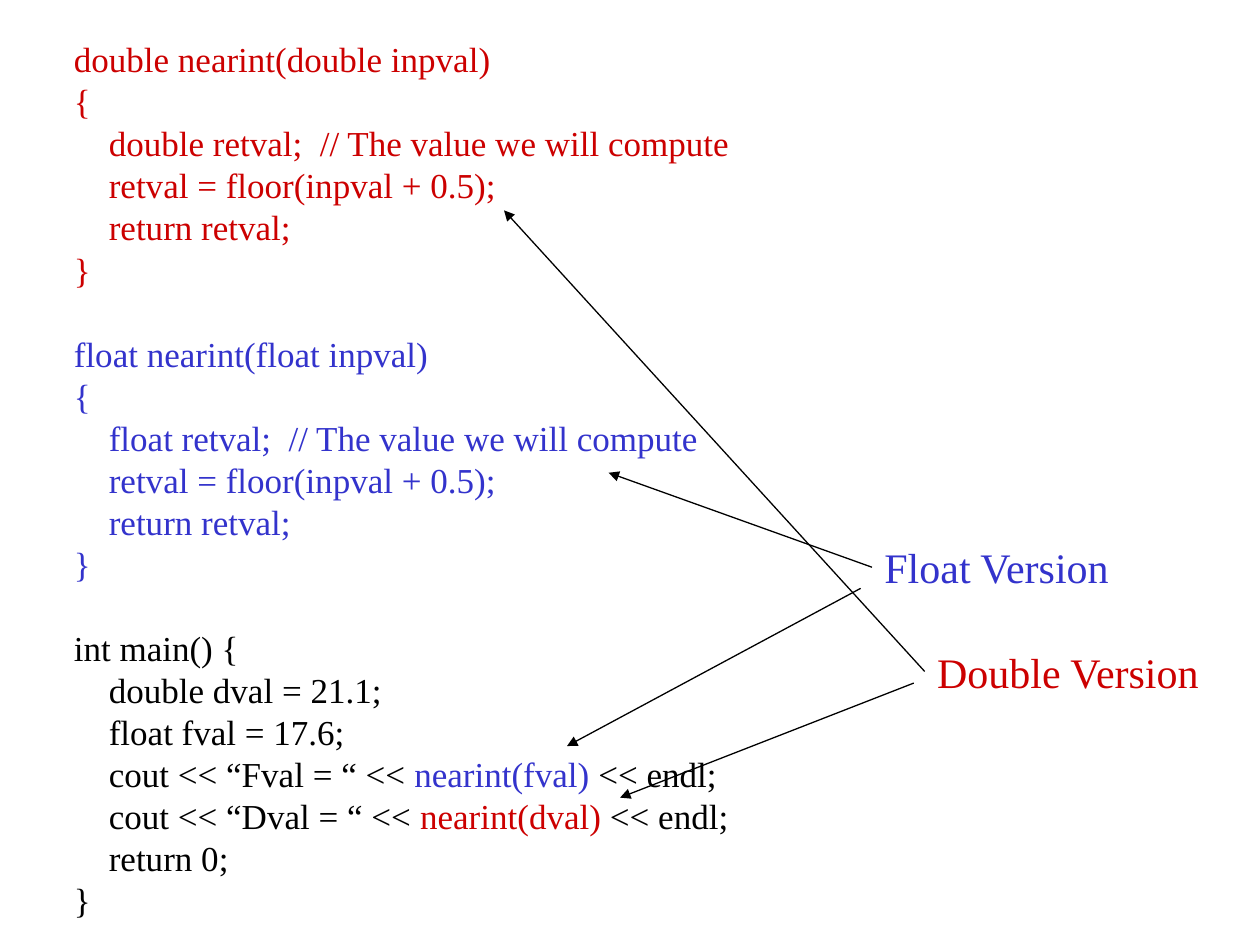
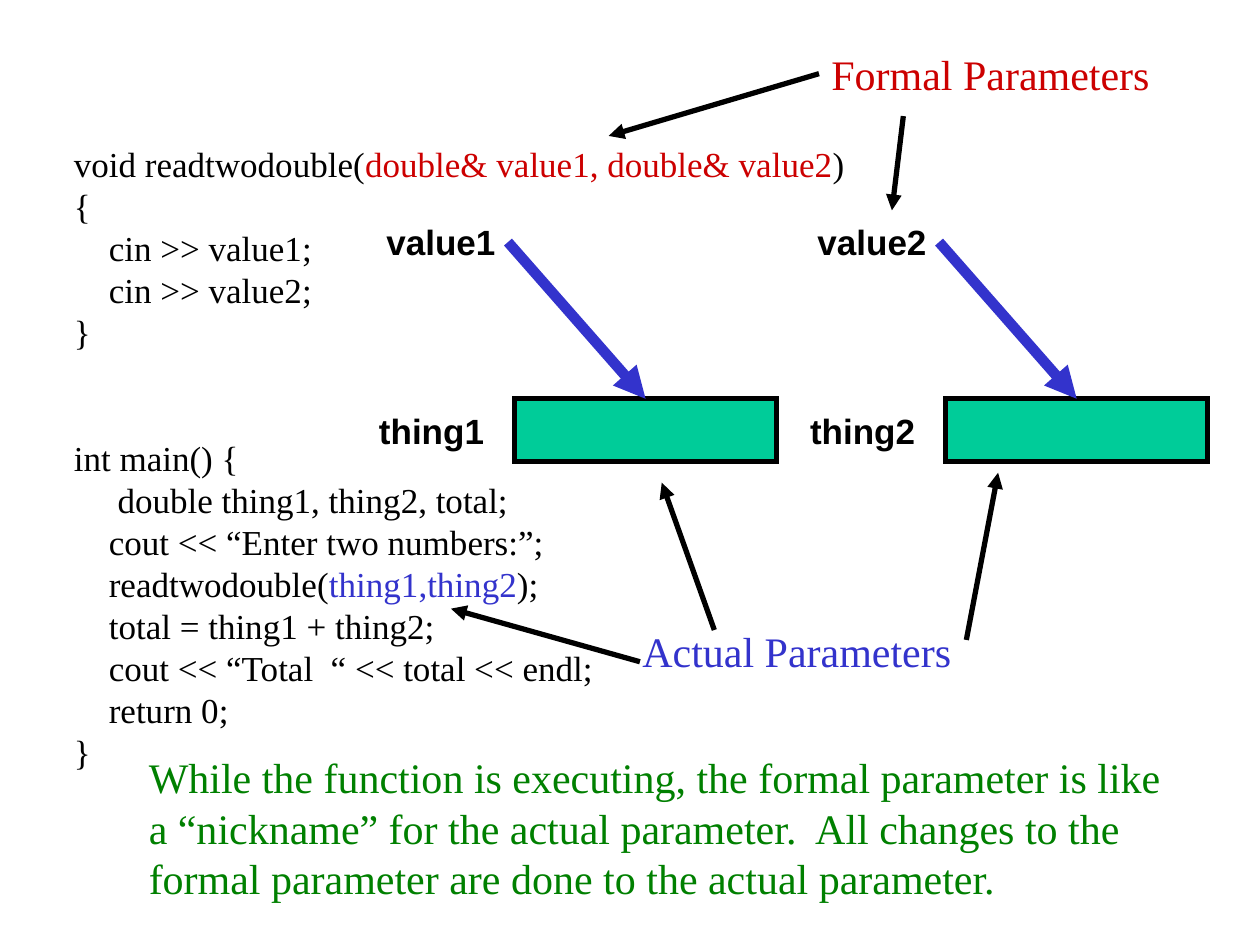
import dataclasses

import lxml.etree
import pptx
import pptx.dml.color
import pptx.enum.shapes
import pptx.enum.text
import pptx.oxml.ns
import pptx.util

Cm = pptx.util.Cm
Pt = pptx.util.Pt
RGB = pptx.dml.color.RGBColor
LEFT = pptx.enum.text.PP_ALIGN.LEFT
RIGHT = pptx.enum.text.PP_ALIGN.RIGHT
qn = pptx.oxml.ns.qn

# Connection sites of a rectangle
TOP_SITE, LEFT_SITE, RIGHT_SITE = 0, 1, 3


@dataclasses.dataclass(frozen=True)
class Theme:
    black: RGB = RGB(0x00, 0x00, 0x00)
    red: RGB = RGB(0xCC, 0x00, 0x00)
    blue: RGB = RGB(0x33, 0x33, 0xCC)
    green: RGB = RGB(0x00, 0x80, 0x00)
    teal: RGB = RGB(0x00, 0xCC, 0x99)
    serif: str = "Times New Roman"
    sans: str = "Arial"
    code_size: int = 20
    label_size: int = 24
    line_height: float = 1.2
    thin: float = 0.75
    thick: float = 3
    heavy: float = 6


THEME = Theme()


# Text
def add_box(page, left, top, width, height):
    box = page.shapes.add_textbox(Cm(left), Cm(top), Cm(width), Cm(height))
    box.text_frame.word_wrap = True
    return box


def style_para(para, size, colour, face=THEME.serif, bold=False, align=LEFT):
    para.alignment = align
    para.line_spacing = Pt(size * THEME.line_height)
    for span in para.runs:
        span.font.name = face
        span.font.size = Pt(size)
        span.font.bold = bold
        span.font.color.rgb = colour


def add_note(page, text, colour, left, top, width, height=1.27):
    box = add_box(page, left, top, width, height)
    box.text_frame.text = text
    style_para(box.text_frame.paragraphs[0], THEME.label_size, colour)
    return box


def add_variable_name(page, text, right, top, width=3):
    box = add_box(page, right - width, top, width, 1.12)
    box.text_frame.text = text
    style_para(box.text_frame.paragraphs[0], THEME.code_size, THEME.black,
               THEME.sans, True, RIGHT)
    return box


def add_code(page, functions, top, width, height, gap_lines=1):
    """Write (colour, lines) functions; a line is text or (before, marked, after, colour)."""
    frame = add_box(page, 1.24, top, width, height).text_frame
    gap = Pt(gap_lines * THEME.code_size * THEME.line_height)
    for number, (colour, lines) in enumerate(functions):
        for index, line in enumerate(lines):
            first = number == 0 and index == 0
            para = frame.paragraphs[0] if first else frame.add_paragraph()
            pieces = [line] if isinstance(line, str) else line[:3]
            for piece in pieces:
                para.add_run().text = piece
            style_para(para, THEME.code_size, colour)
            if len(pieces) > 1:
                para.runs[1].font.color.rgb = line[3]
            if number > 0 and index == 0:
                para.space_before = gap


# Shapes and arrows
def add_memory_cell(page, left, top, width, height):
    cell = page.shapes.add_shape(pptx.enum.shapes.MSO_SHAPE.RECTANGLE,
                                 Cm(left), Cm(top), Cm(width), Cm(height))
    cell.shadow.inherit = False
    cell.fill.solid()
    cell.fill.fore_color.rgb = THEME.teal
    cell.line.color.rgb = THEME.black
    cell.line.width = Pt(THEME.thick)
    # Square corners
    outline = cell._element.spPr.find(qn("a:ln"))
    lxml.etree.SubElement(outline, qn("a:miter")).set("lim", "800000")
    return cell


def add_arrow(page, start, end, width, colour=THEME.black):
    """Each end is an (x, y) point or a (shape, site) pair."""
    joins = [not isinstance(place[0], (int, float)) for place in (start, end)]
    points = [(0, 0) if joined else (Cm(place[0]), Cm(place[1]))
              for place, joined in zip((start, end), joins)]
    arrow = page.shapes.add_connector(
        pptx.enum.shapes.MSO_CONNECTOR.STRAIGHT, *points[0], *points[1])
    if joins[0]:
        arrow.begin_connect(*start)
    if joins[1]:
        arrow.end_connect(*end)
    arrow.line.color.rgb = colour
    arrow.line.width = Pt(width)
    properties = arrow._element.spPr
    head = lxml.etree.SubElement(properties.find(qn("a:ln")), qn("a:tailEnd"))
    head.set("type", "triangle")
    lxml.etree.SubElement(properties, qn("a:effectLst"))


# Slides
def build_overloading(page):
    double_lines = [
        "double nearint(double inpval)",
        "{",
        "    double retval;  // The value we will compute",
        "    retval = floor(inpval + 0.5);",
        "    return retval;",
        "}",
    ]
    float_lines = [line.replace("double", "float") for line in double_lines]
    main_lines = [
        "int main() {",
        "    double dval = 21.1;",
        "    float fval = 17.6;",
        ("    cout << “Fval = “ << ", "nearint(fval)", " << endl;", THEME.blue),
        ("    cout << “Dval = “ << ", "nearint(dval)", " << endl;", THEME.red),
        "    return 0;",
        "}",
    ]
    add_code(page, [(THEME.red, double_lines), (THEME.blue, float_lines),
                    (THEME.black, main_lines)], 0.64, 14.2, 18.06)

    float_label = add_note(page, "Float Version", THEME.blue, 17.58, 10.8, 5.5)
    double_label = add_note(page, "Double Version", THEME.red, 18.64, 12.9, 6.3)
    for start, end in [
        ((float_label, LEFT_SITE), (12.27, 9.53)),
        ((17.35, 11.86), (11.43, 15.04)),
        ((double_label, LEFT_SITE), (10.16, 4.24)),
        ((18.42, 13.77), (12.5, 16.08)),
    ]:
        add_arrow(page, start, end, THEME.thin)


def build_references(page):
    read_lines = [
        ("void readtwodouble(", "double& value1, double& value2", ")", THEME.red),
        "{",
        "    cin >> value1;",
        "    cin >> value2;",
        "}",
    ]
    main_lines = [
        "int main() {",
        "     double thing1, thing2, total;",
        "    cout << “Enter two numbers:”;",
        ("    readtwodouble(", "thing1,thing2", ");", THEME.blue),
        "    total = thing1 + thing2;",
        "    cout << “Total  “ << total << endl;",
        "    return 0;",
        "}",
    ]
    add_code(page, [(THEME.black, read_lines), (THEME.black, main_lines)],
             2.75, 16.5, 12.95, gap_lines=2)

    # Each reference points at its variable
    column_step = 8.69
    for column in range(2):
        shift = column * column_step
        cell = add_memory_cell(page, 10.37 + shift, 8.04, 5.29, 1.27)
        add_variable_name(page, f"thing{column + 1}", 10.01 + shift, 8.13)
        value = add_variable_name(page, f"value{column + 1}", 10.24 + shift, 4.32)
        add_arrow(page, (value, RIGHT_SITE), (cell, TOP_SITE), THEME.heavy, THEME.blue)

    # Parameter labels
    add_note(page, "Actual Parameters", THEME.blue, 12.7, 12.49, 7.3)
    formal_label = add_note(page, "Formal Parameters", THEME.red, 16.51, 0.85, 7.5)
    for start, end in [
        ((12.9, 13.34), (9.09, 12.27)),
        ((14.4, 12.7), (13.34, 9.73)),
        ((19.48, 12.9), (20.12, 9.53)),
        ((formal_label, LEFT_SITE), (12.27, 2.74)),
        ((18.21, 2.34), (17.98, 4.24)),
    ]:
        add_arrow(page, start, end, THEME.thick)

    add_note(page, "While the function is executing, the formal parameter is like a "
             "“nickname” for the actual parameter.  All changes to the formal "
             "parameter are done to the actual parameter.",
             THEME.green, 2.75, 15.03, 21.16, 3.3)


def main():
    deck = pptx.Presentation()
    deck.slide_width, deck.slide_height = Cm(25.4), Cm(19.05)
    blank_layout = deck.slide_layouts[6]
    for build in (build_overloading, build_references):
        build(deck.slides.add_slide(blank_layout))
    deck.save("out.pptx")


if __name__ == "__main__":
    main()
